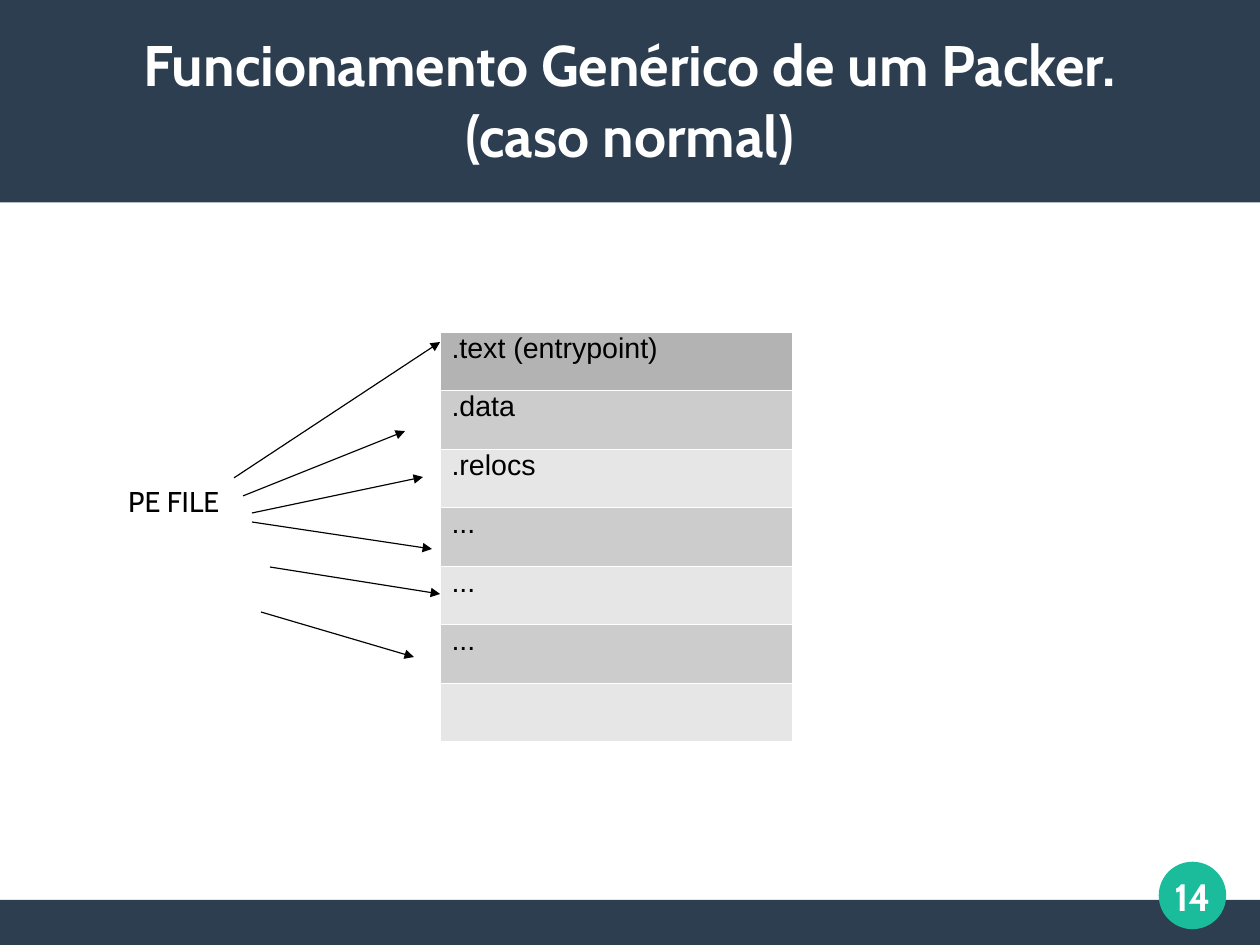
import pptx
import pptx.dml.color
import pptx.enum.shapes
import pptx.enum.text
import pptx.oxml
import pptx.oxml.ns
import pptx.util
from pptx.util import Cm

NAVY = pptx.dml.color.RGBColor(0x2C, 0x3E, 0x50)
GREEN = pptx.dml.color.RGBColor(0x1A, 0xBC, 0x9C)
WHITE = pptx.dml.color.RGBColor(0xFF, 0xFF, 0xFF)
BLACK = pptx.dml.color.RGBColor(0x00, 0x00, 0x00)
DARK_GRAY = pptx.dml.color.RGBColor(0xB3, 0xB3, 0xB3)
MID_GRAY = pptx.dml.color.RGBColor(0xCC, 0xCC, 0xCC)
LIGHT_GRAY = pptx.dml.color.RGBColor(0xE6, 0xE6, 0xE6)

SHAPES = pptx.enum.shapes.MSO_SHAPE
LEFT = pptx.enum.text.PP_ALIGN.LEFT
CENTER = pptx.enum.text.PP_ALIGN.CENTER
MIDDLE = pptx.enum.text.MSO_ANCHOR.MIDDLE


def write(frame, *lines, size=18, font="Cabin", color=BLACK, bold=False,
          align=LEFT, spacing=1.04, centered=False):
    """Fill one paragraph, breaking between lines; centered drops the insets."""
    frame.word_wrap = True
    if centered:
        frame.vertical_anchor = MIDDLE
        frame.margin_left = frame.margin_right = 0
        frame.margin_top = frame.margin_bottom = 0
        align = CENTER
    paragraph = frame.paragraphs[0]
    paragraph.alignment = align
    paragraph.line_spacing = spacing
    for number, line in enumerate(lines):
        if number:
            paragraph.add_line_break()
        run = paragraph.add_run()
        run.text = line
        run.font.size = pptx.util.Pt(size)
        run.font.name = font
        run.font.bold = bold
        run.font.color.rgb = color


presentation = pptx.Presentation()
presentation.slide_width = Cm(28)
presentation.slide_height = Cm(21)
slide = presentation.slides.add_slide(presentation.slide_layouts[6])

# Bands and page badge
for kind, left, top, width, height, color in (
    (SHAPES.RECTANGLE, 0, 20, 28, 1, NAVY),
    (SHAPES.RECTANGLE, 0, 0, 28, 4.5, NAVY),
    (SHAPES.OVAL, 25.75, 19.15, 1.5, 1.5, GREEN),
):
    decoration = slide.shapes.add_shape(kind, Cm(left), Cm(top), Cm(width), Cm(height))
    decoration.shadow.inherit = False
    decoration.fill.solid()
    decoration.fill.fore_color.rgb = color
    decoration.line.fill.background()

title = slide.shapes.add_textbox(Cm(1), Cm(0.84), Cm(26), Cm(2.67))
write(title.text_frame, "Funcionamento Genérico de um Packer.", "(caso normal)",
      size=36, color=WHITE, bold=True, centered=True)

file_label = slide.shapes.add_textbox(Cm(2.6), Cm(10.6), Cm(2.6), Cm(1.04))
write(file_label.text_frame, "PE FILE")

# Sections of the file
section_names = [".text (entrypoint)", ".data", ".relocs", "...", "...", "...", ""]
row_height = Cm(1.3)
sections = slide.shapes.add_table(len(section_names), 1, Cm(9.78), Cm(7.37),
                                  Cm(7.82), row_height * len(section_names)).table
for index, section_name in enumerate(section_names):
    sections.rows[index].height = row_height
    cell = sections.cell(index, 0)
    cell.fill.solid()
    if index == 0:
        cell.fill.fore_color.rgb = DARK_GRAY
    else:
        cell.fill.fore_color.rgb = MID_GRAY if index % 2 else LIGHT_GRAY
    if section_name:
        write(cell.text_frame, section_name, font="Arial", spacing=0.81)
    for position, side in enumerate(("lnL", "lnR", "lnT", "lnB")):
        border = pptx.oxml.parse_xml(
            f'<a:{side} {pptx.oxml.ns.nsdecls("a")} w="720"><a:solidFill>'
            f'<a:srgbClr val="{WHITE}"/></a:solidFill></a:{side}>')
        cell._tc.get_or_add_tcPr().insert(position, border)

# Arrows from the file to its sections
for start_x, start_y, end_x, end_y in (
    (5.2, 10.62, 9.78, 7.6),
    (5.4, 11.02, 9, 9.58),
    (5.6, 11.4, 9.4, 10.6),
    (5.6, 11.6, 9.6, 12.2),
    (6, 12.6, 9.78, 13.2),
    (5.8, 13.6, 9.2, 14.6),
):
    arrow = slide.shapes.add_connector(pptx.enum.shapes.MSO_CONNECTOR.STRAIGHT,
                                       Cm(start_x), Cm(start_y), Cm(end_x), Cm(end_y))
    arrow.line.color.rgb = BLACK
    arrow.line.width = pptx.util.Pt(0.75)
    arrow.line._get_or_add_ln().append(pptx.oxml.parse_xml(
        f'<a:tailEnd {pptx.oxml.ns.nsdecls("a")} type="triangle"/>'))
    arrow._element.spPr.append(pptx.oxml.parse_xml(
        f'<a:effectLst {pptx.oxml.ns.nsdecls("a")}/>'))

page_number = slide.shapes.add_textbox(Cm(25.5), Cm(18.9), Cm(2), Cm(2))
write(page_number.text_frame, "14", size=24, color=WHITE, bold=True, centered=True)

presentation.save("out.pptx")
